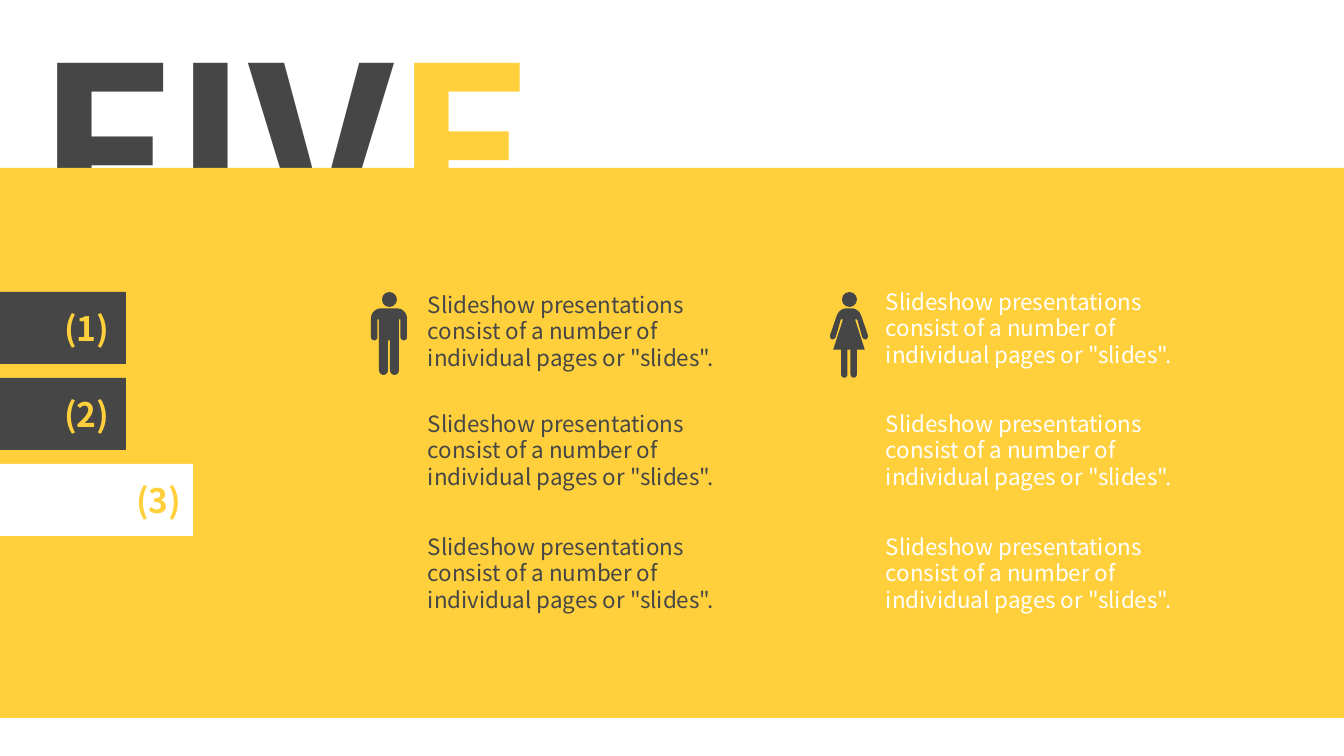
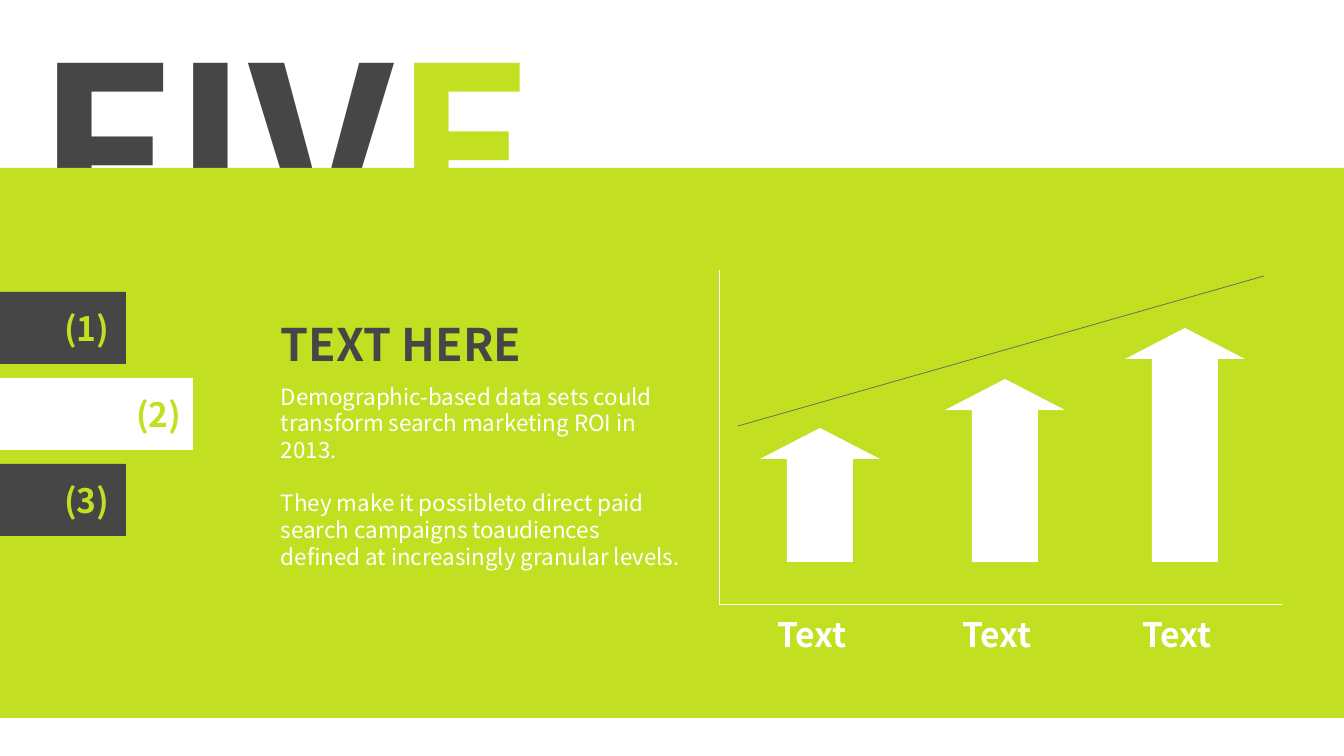
from pptx import Presentation
from pptx.dml.color import RGBColor
from pptx.enum.shapes import MSO_CONNECTOR, MSO_SHAPE
from pptx.enum.text import MSO_ANCHOR, PP_ALIGN
from pptx.oxml.xmlchemy import OxmlElement
from pptx.util import Pt

PX = 9071
FONT = "Noto Sans CJK SC"
DARK, WHITE, GREY = "464646", "FFFFFF", "646464"
YELLOW, GREEN = "FFD03B", "C3DF21"


def paint(target, color):
    target.fill.solid()
    target.fill.fore_color.rgb = RGBColor.from_string(color)
    if hasattr(target, "shadow"):
        target.shadow.inherit = False
        target.line.fill.background()


def add_text(slide, paragraphs, box, size, bold=False, align=PP_ALIGN.LEFT,
             anchor=MSO_ANCHOR.TOP, gap=0, inset=10):
    shape = slide.shapes.add_textbox(*[length * PX for length in box])
    frame = shape.text_frame
    frame.word_wrap = True
    frame.vertical_anchor = anchor
    frame.margin_left = frame.margin_right = inset * PX
    frame.margin_top = frame.margin_bottom = 5 * PX
    for index, runs in enumerate(paragraphs):
        paragraph = frame.add_paragraph() if index else frame.paragraphs[0]
        paragraph.alignment = align
        paragraph.line_spacing = Pt(size * 1.19)
        if index:
            paragraph.space_before = Pt(gap)
        for text, color in runs:
            run = paragraph.add_run()
            run.text = text
            run.font.name = FONT
            run.font.size = Pt(size)
            run.font.bold = bold
            paint(run.font, color)


presentation = Presentation()
presentation.slide_width = 1344 * PX
presentation.slide_height = 756 * PX

slides = []
for accent, active_tab in [(YELLOW, 3), (GREEN, 2)]:
    slide = presentation.slides.add_slide(presentation.slide_layouts[6])
    slides.append(slide)
    add_text(slide, [[("FIV", DARK), ("E", accent)]], (27, 0, 867, 291), 166, bold=True)
    band = slide.shapes.add_shape(MSO_SHAPE.RECTANGLE, 0, 168 * PX, 1344 * PX, 550 * PX)
    paint(band, accent)
    for number in (1, 2, 3):
        top = 292 + 86 * (number - 1)
        width, label_left, fill = (193, 126, WHITE) if number == active_tab else (126, 54, DARK)
        tab = slide.shapes.add_shape(MSO_SHAPE.RECTANGLE, 0, top * PX, width * PX, 72 * PX)
        paint(tab, fill)
        add_text(slide, [[(f"({number})", accent)]], (label_left, top + 11, 86, 50), 24, bold=True)

people_slide, growth_slide = slides

BODY = 'Slideshow presentations consist of a number of individual pages or "slides".'
for left, color, tops in [(418, DARK, (286, 405, 528)), (876, WHITE, (283, 405, 528))]:
    for top in tops:
        add_text(people_slide, [[(BODY, color)]], (left, top, 344, 92), 16)

MAN_HALF = [
    (0, 0), (80, 0), (130, 0, 180, 40, 180, 100), (180, 290),
    (180, 305, 165, 320, 148, 320), (130, 320, 115, 305, 115, 290),
    (115, 110), (100, 110), (100, 615),
    (100, 645, 80, 665, 55, 665), (30, 665, 10, 645, 10, 615), (10, 320),
]
WOMAN_HALF = [
    (0, 0), (30, 0), (60, 0, 105, 20, 125, 80), (187, 262),
    (195, 280, 185, 305, 172, 310), (160, 314, 140, 305, 132, 285),
    (82, 110), (60, 110), (158, 413), (80, 413), (80, 655),
    (80, 680, 65, 693, 48, 693), (30, 693, 15, 680, 15, 655), (15, 413),
]
CURVE_STEPS = 8
for center, half_outline in [(389, MAN_HALF), (849, WOMAN_HALF)]:
    half = []
    for segment in half_outline:
        if len(segment) == 2:
            half.append(segment)
            continue
        x0, y0 = half[-1]
        x1, y1, x2, y2, x3, y3 = segment
        for step in range(1, CURVE_STEPS + 1):
            t = step / CURVE_STEPS
            a, b, c, d = (1 - t) ** 3, 3 * t * (1 - t) ** 2, 3 * t * t * (1 - t), t ** 3
            half.append((a * x0 + b * x1 + c * x2 + d * x3, a * y0 + b * y1 + c * y2 + d * y3))
    outline = half + [(-x, y) for x, y in reversed(half)]
    points = [(center * 10 + x, 3084 + y) for x, y in outline]
    person = people_slide.shapes.add_group_shape()
    head = person.shapes.add_shape(MSO_SHAPE.OVAL, (center - 7) * PX, 292 * PX, 15 * PX, 15 * PX)
    paint(head, DARK)
    builder = person.shapes.build_freeform(*points[0], scale=PX / 10)
    builder.add_line_segments(points[1:], close=True)
    paint(builder.convert_to_shape(), DARK)

for start_x, start_y, end_x, end_y, color in [
    (719, 604, 719, 270, WHITE),
    (719, 604, 1282, 604, WHITE),
    (738, 426, 1264, 276, GREY),
]:
    connector = growth_slide.shapes.add_connector(
        MSO_CONNECTOR.STRAIGHT, start_x * PX, start_y * PX, end_x * PX, end_y * PX)
    paint(connector.line, color)
    connector.line.width = Pt(0.5)
    connector._element.spPr.append(OxmlElement("a:effectLst"))

ARROW_WIDTH, ARROW_BASE, HEAD_HEIGHT = 120, 562, 31
for center, top in [(820, 428), (1005, 379), (1185, 328)]:
    arrow = growth_slide.shapes.add_shape(
        MSO_SHAPE.UP_ARROW, (center - ARROW_WIDTH // 2) * PX, top * PX,
        ARROW_WIDTH * PX, (ARROW_BASE - top) * PX)
    arrow.adjustments[0] = 0.55
    arrow.adjustments[1] = HEAD_HEIGHT / ARROW_WIDTH
    paint(arrow, WHITE)
    add_text(growth_slide, [[("Text", WHITE)]], (center - 98, 618, 180, 32), 24, bold=True,
             align=PP_ALIGN.CENTER, anchor=MSO_ANCHOR.MIDDLE, inset=5)

add_text(growth_slide, [[("TEXT HERE", DARK)]], (271, 312, 311, 65), 32, bold=True)
add_text(growth_slide, [
    [("Demographic-based data sets could transform search marketing ROI in 2013.", WHITE)],
    [("They make it possibleto direct paid search campaigns toaudiences "
      "defined at increasingly granular levels.", WHITE)],
], (271, 378, 421, 254), 16, gap=19)

presentation.save("out.pptx")
